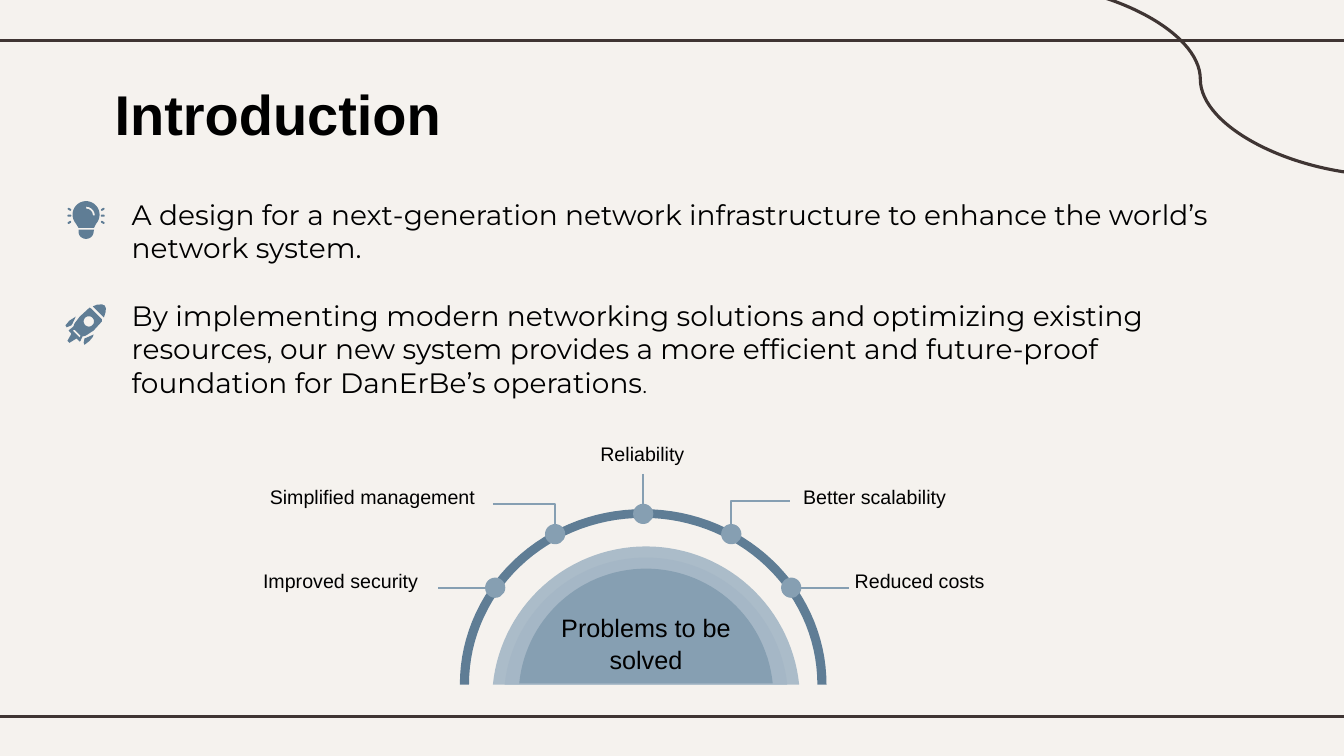
"""Build the Introduction slide with two points and a dome of problems."""
from math import asin, cos, degrees, radians, sin

from lxml import etree
from pptx import Presentation
from pptx import util as u
from pptx.dml.color import RGBColor
from pptx.enum import shapes, text
from pptx.oxml.ns import qn

CREAM = RGBColor(0xF5, 0xF2, 0xEE)
BROWN = RGBColor(0x3F, 0x35, 0x33)
BLACK = RGBColor(0, 0, 0)
SLATE = RGBColor(0x5F, 0x7D, 0x95)
STEEL = RGBColor(0x86, 0x9F, 0xB2)
MIST = RGBColor(0xAB, 0xBC, 0xC9)
HAZE = RGBColor(0xA5, 0xB7, 0xC6)

WIDTH, HEIGHT = 33.87, 19.05
HEADING = "Introduction"
POINTS = [
    "A design for a next-generation network infrastructure to enhance the world’s network system.",
    "By implementing modern networking solutions and optimizing existing resources, our new system "
    "provides a more efficient and future-proof foundation for DanErBe’s operations",
]
CORE = "Problems to be solved"
NODE, HUB_X, BASE_Y = 0.51, 16.21, 17.25
# text, text box, node offset from hub and height, side of node, leader end
PROBLEMS = [
    ("Improved security", (6.38, 14.2, 4.45), (-3.73, 14.81), (-1, 0), (11.05, 14.81)),
    ("Simplified management", (6.55, 12.09, 5.72), (-2.22, 13.46), (0, -1), (12.42, 12.7)),
    ("Reliability", (14.88, 11, 2.64), (0, 12.95), (0, -1), (16.21, 11.94)),
    ("Better scalability", (19.99, 12.09, 4.14), (2.22, 13.46), (0, -1), (19.91, 12.62)),
    ("Reduced costs", (21.29, 14.22, 3.81), (3.73, 14.81), (1, 0), (21.39, 14.81)),
]
# radius, top, base, colour
DOMES = [(3.88, 13.77, BASE_Y, MIST), (3.58, 14.05, BASE_Y, HAZE), (3.21, 14.33, 17.22, STEEL)]
DOME_X = 16.28


def arc(x, y, rx, ry, start, end, steps=60):
    """Return points along an ellipse, clockwise in degrees from the right."""
    angles = [radians(start + (end - start) * i / steps) for i in range(steps + 1)]
    return [(x + rx * cos(a), y + ry * sin(a)) for a in angles]


BULB = [
    [arc(2.17, 5.41, 0.34, 0.34, 140, 400) + [(2.37, 5.74), (1.98, 5.74)],
     arc(2.17, 5.43, 0.22, 0.22, 270, 360) + arc(2.17, 5.43, 0.17, 0.17, 360, 270)],
    [[(1.98, 5.79), (2.37, 5.79)] + arc(2.17, 5.84, 0.19, 0.18, 0, 180)],
]
RAYS = [(x, y, side * tilt) for x, side in ((1.75, 1), (2.59, -1))
        for y, tilt in ((5.28, 32), (5.44, 0), (5.61, -32))]
ROCKET = [
    [[(1.73, 8.33), (1.8, 8.41), (1.7, 8.59), (1.75, 8.64), (1.93, 8.53), (2.01, 8.61),
      (2.03, 8.59), (2.08, 8.48), (2.16, 8.46), (2.36, 8.33), (2.57, 8.1), (2.57, 8.05),
      (2.29, 7.77), (2.26, 7.75), (2.01, 7.98), (1.88, 8.15), (1.85, 8.23), (1.75, 8.31)],
     arc(2.24, 8.1, 0.13, 0.13, 0, 360),
     [(1.88, 8.31), (2.03, 8.46), (2.01, 8.51), (1.83, 8.33)]],
    [[(2.34, 7.72), (2.44, 7.68), (2.57, 7.67), (2.64, 7.7), (2.67, 7.77), (2.66, 7.87), (2.62, 8)]],
    [[(2.36, 8.43), (2.18, 8.51), (2.13, 8.53), (2.11, 8.64), (2.13, 8.69), (2.26, 8.59), (2.34, 8.49)]],
    [[(1.91, 7.98), (1.75, 8.08), (1.65, 8.2), (1.68, 8.25), (1.8, 8.2), (1.83, 8.15)]],
]


def write(paragraph, words, font="Arial", size=14, bold=False, align=text.PP_ALIGN.LEFT,
          before=0, spacing=1.0):
    """Add formatted words to a paragraph."""
    run = paragraph.add_run()
    run.text = words
    run.font.name, run.font.size, run.font.bold = font, u.Pt(size), bold
    run.font.color.rgb = BLACK
    paragraph.alignment = align
    paragraph.space_before, paragraph.line_spacing = u.Pt(before), spacing


def place(part, left, top, width, height):
    """Move and size a part in centimetres."""
    part.left, part.top, part.width, part.height = map(u.Cm, (left, top, width, height))


def paint(part, color):
    """Fill a shape plainly, with no line or shadow."""
    part.shadow.inherit = False
    part.fill.solid()
    part.fill.fore_color.rgb = color
    part.line.fill.background()
    return part


def outline(canvas, contours, color):
    """Draw a filled outline from one or more closed contours."""
    builder = None
    for contour in contours:
        corners = [(u.Cm(x), u.Cm(y)) for x, y in contour]
        if builder is None:
            builder = canvas.build_freeform(*corners[0])
        else:
            builder.move_to(*corners[0])
        builder.add_line_segments(corners[1:], close=True)
    return paint(builder.convert_to_shape(), color)


def connect(canvas, start, end, color, weight, kind=shapes.MSO_CONNECTOR.STRAIGHT):
    """Draw a line between two points, without a shadow."""
    line = canvas.add_connector(kind, *map(u.Cm, (*start, *end)))
    line.line.color.rgb, line.line.width = color, u.Pt(weight)
    etree.SubElement(line._element.spPr, qn("a:effectLst"))
    return line


def add_frame(slide):
    """Draw the background, the two rules and the corner curve."""
    slide.background.fill.solid()
    slide.background.fill.fore_color.rgb = CREAM
    for y in (1.02, 18.06):
        connect(slide.shapes, (0, y), (WIDTH, y), BROWN, 2.25)
    connect(slide.shapes, (25.5, -0.43), (35, 4.42), BROWN, 2.25, shapes.MSO_CONNECTOR.CURVE)


def add_points(slide):
    """Fill the title and body placeholders and draw the two icons."""
    title, body = slide.placeholders
    place(title, 2.64, 1.78, 17.45, 2.13)
    write(title.text_frame.paragraphs[0], HEADING, size=40, bold=True)
    place(body, 2.64, 4.72, 28.58, 12.88)
    frame = body.text_frame
    for part in (title.text_frame, frame):
        part.auto_size = text.MSO_AUTO_SIZE.NONE
        part.margin_left = part.margin_right = part.margin_top = part.margin_bottom = u.Cm(0.25)
    for i, point in enumerate(POINTS):
        paragraph = frame.add_paragraph() if i else frame.paragraphs[0]
        write(paragraph, point, font="Montserrat", size=20, before=24 * i)
        settings = paragraph._p.get_or_add_pPr()
        settings.set("marL", str(u.Cm(0.43)))
        settings.set("indent", "0")
        etree.SubElement(settings, qn("a:buNone"))
    write(paragraph, ".", font="Montserrat", size=14.7, before=24)
    for contours in BULB + ROCKET:
        outline(slide.shapes, contours, SLATE)
    for x, y, tilt in RAYS:
        ray = slide.shapes.add_shape(shapes.MSO_SHAPE.ROUNDED_RECTANGLE, 0, 0, 0, 0)
        place(ray, x - 0.05, y - 0.03, 0.1, 0.05)
        ray.adjustments[0], ray.rotation = 0.5, tilt
        paint(ray, SLATE)


def add_dome(slide):
    """Draw the ring, its labelled nodes and the nested domes."""
    canvas = slide.shapes
    ring = arc(HUB_X, BASE_Y, 4.62, 4.42, 180, 360) + arc(HUB_X, BASE_Y, 4.39, 4.2, 360, 180)
    outline(canvas, [ring], SLATE)
    for label, (left, top, width), (offset, y), (dx, dy), end in PROBLEMS:
        x = HUB_X + offset
        node = canvas.add_shape(shapes.MSO_SHAPE.OVAL, 0, 0, 0, 0)
        place(node, x - NODE / 2, y - NODE / 2, NODE, NODE)
        paint(node, STEEL)
        leader = connect(canvas, end, (x + dx * NODE / 2, y + dy * NODE / 2), STEEL, 1.5)
        if dy and offset:
            leader._element.spPr.find(qn("a:prstGeom")).set("prst", "bentConnector2")
        box = canvas.add_textbox(0, 0, 0, 0)
        place(box, left, top, width, 0.86)
        box.text_frame.word_wrap = False
        write(box.text_frame.paragraphs[0], label)
    for radius, top, base, color in DOMES:
        center = top + radius
        dip = degrees(asin((center - base) / radius))
        dome = outline(canvas, [arc(DOME_X, center, radius, radius, 180 + dip, 360 - dip)], color)
    frame = dome.text_frame
    frame.word_wrap, frame.vertical_anchor = True, text.MSO_ANCHOR.MIDDLE
    frame.margin_left = frame.margin_right = frame.margin_bottom = u.Cm(0.25)
    frame.margin_top = u.Cm(1.06)
    write(frame.paragraphs[0], CORE, size=18, align=text.PP_ALIGN.CENTER, spacing=1.07)


def main():
    """Build and save the slide."""
    deck = Presentation()
    deck.slide_width, deck.slide_height = u.Cm(WIDTH), u.Cm(HEIGHT)
    slide = deck.slides.add_slide(deck.slide_layouts[1])
    add_frame(slide)
    add_points(slide)
    add_dome(slide)
    deck.save("out.pptx")


if __name__ == "__main__":
    main()
